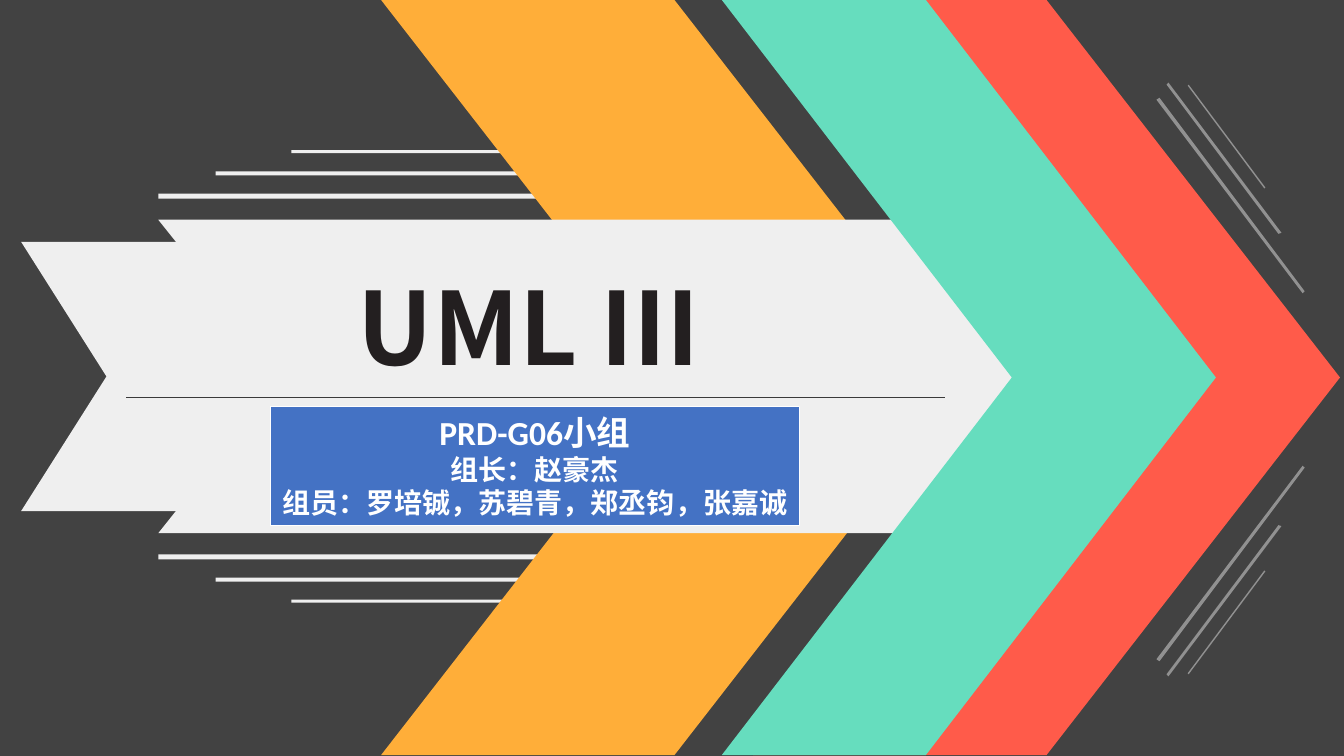
from lxml import etree
from pptx import Presentation, util as u
from pptx.dml.color import RGBColor
from pptx.enum import shapes, text
from pptx.oxml.ns import qn

DARK, PALE, GREY = "424242", "EFEFEF", "919191"
ORANGE, RED, MINT, BLUE = "FFAE39", "FF5B4A", "66DDBE", "4472C4"
WHITE, INK, RULE = "FFFFFF", "231F20", "3A3A3A"


def rgb(value):
    return RGBColor.from_string(value)


class Deck:
    """Holds the slide and the style shared by its elements."""

    def __init__(self, prs):
        self.s = prs.slides.add_slide(prs.slide_layouts[6])
        self.s.background.fill.solid()
        self.s.background.fill.fore_color.rgb = rgb(DARK)

    def group(self):
        return self.s.shapes.add_group_shape().shapes

    def paint(self, sp, fill, line=None, width=0.75):
        sp.shadow.inherit = False
        sp.fill.solid()
        sp.fill.fore_color.rgb = rgb(fill)
        if line:
            sp.line.color.rgb = rgb(line)
            sp.line.width = u.Pt(width)
        else:
            sp.line.fill.background()
        return sp

    def shape(self, kind, box, fill, adj=None, line=None, into=None):
        sp = (into or self.s.shapes).add_shape(kind, *map(u.Inches, box))
        if adj is not None:
            sp.adjustments[0] = adj
        return self.paint(sp, fill, line)

    def outline(self, points, fill, into=None):
        first, *rest = [(u.Inches(x), u.Inches(y)) for x, y in points]
        builder = (into or self.s.shapes).build_freeform(*first)
        builder.add_line_segments(rest, close=True)
        return self.paint(builder.convert_to_shape(), fill)

    def rule(self, x1, y1, x2, y2, color, width):
        ends = map(u.Inches, (x1, y1, x2, y2))
        cx = self.s.shapes.add_connector(shapes.MSO_CONNECTOR.STRAIGHT, *ends)
        cx.line.color.rgb = rgb(color)
        cx.line.width = u.Pt(width)
        etree.SubElement(cx._element.spPr, qn("a:effectLst"))

    def textbox(self, box):
        return self.s.shapes.add_textbox(*map(u.Inches, box))

    def add_lines(self, sp, lines, font, color, align):
        """Fill a shape with bold (text, size) lines that do not wrap."""
        tf = sp.text_frame
        tf.word_wrap = False
        tf.auto_size = text.MSO_AUTO_SIZE.SHAPE_TO_FIT_TEXT
        for i, (words, size) in enumerate(lines):
            p = tf.add_paragraph() if i else tf.paragraphs[0]
            p.alignment = align
            r = p.add_run()
            r.text = words
            r.font.name, r.font.size, r.font.bold = font, u.Pt(size), True
            r.font.color.rgb = rgb(color)


def main():
    prs = Presentation()
    prs.slide_width, prs.slide_height = u.Inches(13.33), u.Inches(7.5)
    deck = Deck(prs)
    kinds = shapes.MSO_SHAPE

    # Speed bars above and below the banner, mirrored vertically
    bars_right, bars_mirror = 6.1, 7.47
    bars = [(1.57, 1.92, 0.05), (2.14, 1.7, 0.04), (2.89, 1.49, 0.03)]
    for below in (False, True):
        group = deck.group()
        for x, y, h in bars:
            top = bars_mirror - y - h if below else y
            deck.shape(kinds.RECTANGLE, (x, top, bars_right - x, h), PALE, into=group)

    # Banner and large chevrons, back to front
    deck.shape(kinds.CHEVRON, (3.78, 0, 5.82, 7.49), ORANGE, 0.5)
    deck.shape(kinds.CHEVRON, (0.21, 2.4, 9.81, 2.67), PALE, 0.317)
    deck.outline([(1.57, 2.18), (2.81, 3.73), (1.57, 5.29),
                  (8.99, 5.29), (10.21, 3.77), (8.95, 2.18)], PALE)
    deck.shape(kinds.CHEVRON, (7.47, 0, 5.82, 7.49), RED, 0.5)
    deck.shape(kinds.CHEVRON, (7.16, 0, 4.9, 7.49), MINT, 0.587)

    # Slanted streaks at the right, mirrored vertically
    streaks_mirror = 7.53
    streaks = [
        [(11.5, 0.97), (11.47, 0.99), (12.92, 2.91), (12.94, 2.89)],
        [(11.59, 0.82), (11.57, 0.84), (12.68, 2.32), (12.71, 2.31)],
        [(11.79, 0.84), (11.78, 0.85), (12.54, 1.87), (12.55, 1.86)],
    ]
    for below in (False, True):
        group = deck.group()
        for streak in streaks:
            points = [(x, streaks_mirror - y if below else y) for x, y in streak]
            deck.outline(points, GREY, group)

    # Title and team
    title = deck.textbox((3.45, 2.58, 3.89, 1.31))
    deck.add_lines(title, [("UML III", 72)], "Noto Sans CJK SC", INK,
                   text.PP_ALIGN.LEFT)
    deck.rule(1.25, 3.94, 9.37, 3.94, RULE, 0.5)
    team = deck.shape(kinds.RECTANGLE, (2.68, 4.03, 5.25, 1.18), BLUE, line=WHITE)
    deck.add_lines(team, [("PRD-G06小组", 24), ("组长：赵豪杰", 20),
                          ("组员：罗培铖，苏碧青，郑丞钧，张嘉诚", 20)],
                   "Calibri", WHITE, text.PP_ALIGN.CENTER)

    prs.save("out.pptx")


if __name__ == "__main__":
    main()
